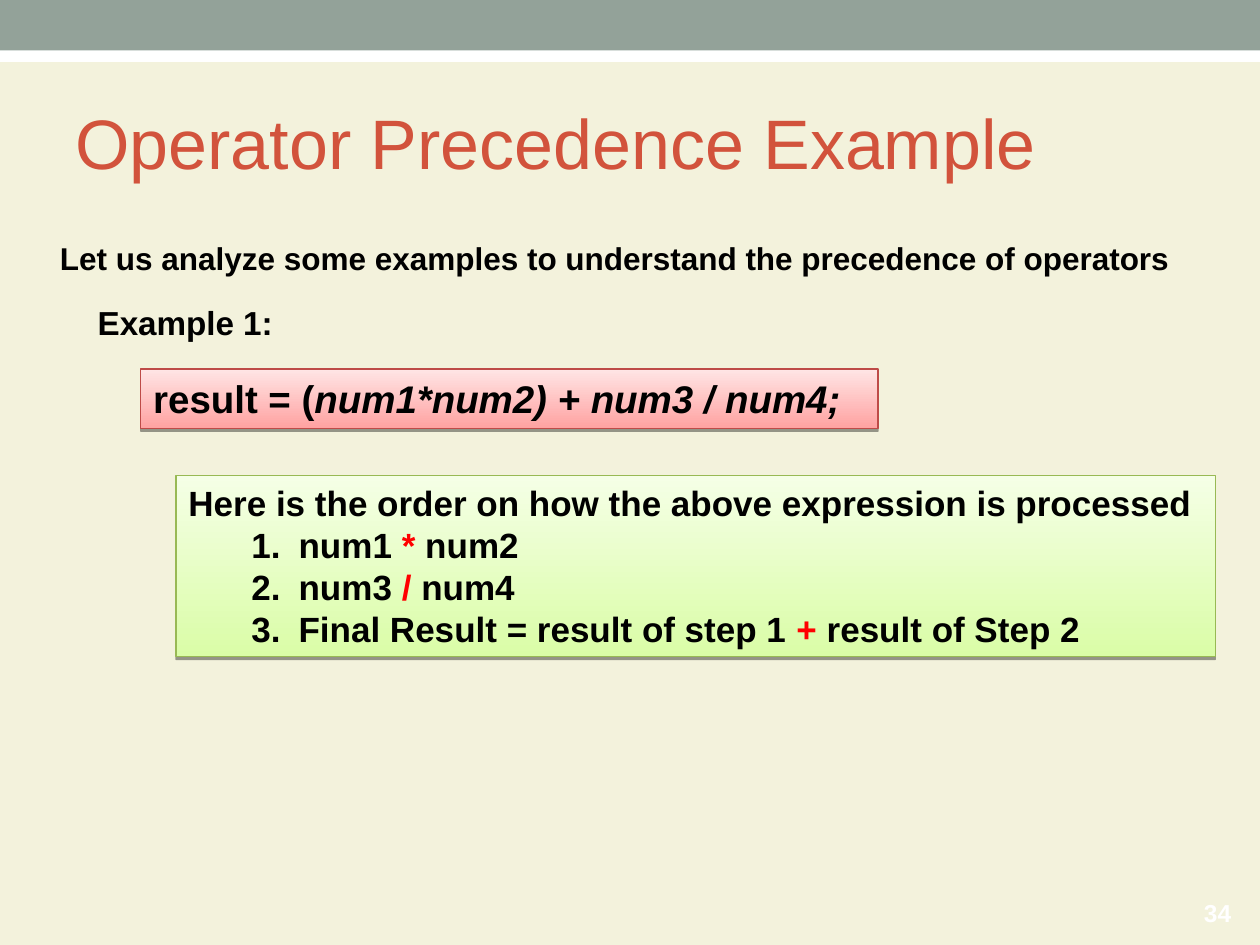
from dataclasses import dataclass

from lxml import etree
from pptx import Presentation
from pptx.dml.color import RGBColor
from pptx.enum.shapes import MSO_SHAPE
from pptx.enum.text import MSO_ANCHOR, PP_ALIGN
from pptx.oxml.ns import qn
from pptx.util import Cm, Pt

RECTANGLE = MSO_SHAPE.RECTANGLE
TOP, MIDDLE = MSO_ANCHOR.TOP, MSO_ANCHOR.MIDDLE
LEFT, RIGHT = PP_ALIGN.LEFT, PP_ALIGN.RIGHT


@dataclass(frozen=True)
class Theme:
    font: str = "Arial"
    background: str = "F3F2DC"
    band: str = "93A299"
    white: str = "FFFFFF"
    title: str = "D2533C"
    text: str = "000000"
    operator: str = "FF0000"
    red_panel: tuple = ("FFA2A1", "FFE5E5", "BE4B48")
    green_panel: tuple = ("DAFDA7", "F5FFE6", "98B954")
    title_size: int = 40
    code_size: float = 22
    steps_size: int = 20
    example_size: int = 19
    intro_size: int = 18
    number_size: int = 14


THEME = Theme()


def color(value):
    return RGBColor.from_string(value)


def add_run(paragraph, text, size, fill=THEME.text, bold=True, italic=False):
    run = paragraph.add_run()
    run.text = text
    font = run.font
    font.name, font.size = THEME.font, Pt(size)
    font.bold, font.italic = bold, italic
    font.color.rgb = color(fill)


def add_text(slide, box, text, size, fill=THEME.text, bold=True,
             anchor=TOP, align=LEFT, wrap=False):
    frame = slide.shapes.add_textbox(*map(Cm, box)).text_frame
    frame.word_wrap = wrap
    frame.vertical_anchor = anchor
    paragraph = frame.paragraphs[0]
    paragraph.alignment = align
    add_run(paragraph, text, size, fill, bold)


def add_rectangle(slide, box):
    shape = slide.shapes.add_shape(RECTANGLE, *map(Cm, box))
    shape.shadow.inherit = False
    return shape


def add_panel(slide, box, colors):
    shape = add_rectangle(slide, box)
    bottom, top, outline = colors
    shape.fill.gradient()
    shape.fill.gradient_angle = 90
    for stop, value in zip(shape.fill.gradient_stops, (bottom, top)):
        stop.color.rgb = color(value)
    shape.line.color.rgb = color(outline)
    shape.line.width = Pt(0.75)
    effects = shape._element.spPr.find(qn("a:effectLst"))
    shadow = etree.SubElement(effects, qn("a:outerShdw"), blurRad="0",
                              dist=str(Pt(1.6)), dir="5400000", rotWithShape="0")
    shade = etree.SubElement(shadow, qn("a:srgbClr"), val=THEME.text)
    etree.SubElement(shade, qn("a:alpha"), val="38000")
    frame = shape.text_frame
    frame.word_wrap = True
    frame.vertical_anchor = TOP
    frame.paragraphs[0].alignment = LEFT
    return frame


def number_paragraph(paragraph):
    paragraph.alignment = LEFT
    paragraph.level = 1
    properties = paragraph._p.get_or_add_pPr()
    properties.set("marL", str(Cm(2.22)))
    properties.set("indent", str(Cm(-0.95)))
    bullet_color = etree.SubElement(properties, qn("a:buClr"))
    etree.SubElement(bullet_color, qn("a:srgbClr"), val=THEME.text)
    etree.SubElement(properties, qn("a:buFont"), typeface=THEME.font)
    etree.SubElement(properties, qn("a:buAutoNum"), type="arabicPeriod")


def add_header(slide, box):
    left, top, width, height = box
    bands = ((0.6, 0.65, THEME.white), (0, 1.02, THEME.band))
    for offset, band_height, fill in bands:
        shape = add_rectangle(slide, (left, top + offset, width, band_height))
        shape.fill.solid()
        shape.fill.fore_color.rgb = color(fill)
        shape.line.fill.background()
    add_text(slide, (left + 1.27, top + 1.47, width - 2.54, height - 1.47),
             "Operator Precedence Example", THEME.title_size, THEME.title,
             bold=False, anchor=MIDDLE, wrap=True)


def add_introduction(slide, box):
    left, top, width, height = box
    add_text(slide, (left, top, width, 1.02),
             "Let us analyze some examples to understand the precedence of operators",
             THEME.intro_size)
    add_text(slide, (left + 0.76, top + height - 1.07, 4.22, 1.07),
             "Example 1:", THEME.example_size)


def add_expression(slide, box):
    paragraph = add_panel(slide, box, THEME.red_panel).paragraphs[0]
    add_run(paragraph, "result = (", THEME.code_size)
    add_run(paragraph, "num1*num2) + num3 / num4;", THEME.code_size, italic=True)


def add_steps(slide, box):
    frame = add_panel(slide, box, THEME.green_panel)
    add_run(frame.paragraphs[0],
            "Here is the order on how the above expression is processed",
            THEME.steps_size)
    steps = (
        ("num1 ", "*", " num2"),
        ("num3 ", "/", " num4"),
        ("Final Result = result of step 1 ", "+", " result of Step 2"),
    )
    for before, operator, after in steps:
        paragraph = frame.add_paragraph()
        number_paragraph(paragraph)
        add_run(paragraph, before, THEME.steps_size)
        add_run(paragraph, operator, THEME.steps_size, THEME.operator)
        add_run(paragraph, after, THEME.steps_size)


def add_slide_number(slide, box):
    add_text(slide, box, "34", THEME.number_size, THEME.white,
             anchor=MIDDLE, align=RIGHT, wrap=True)


def main():
    presentation = Presentation()
    presentation.slide_width, presentation.slide_height = Cm(25.4), Cm(19.05)
    slide = presentation.slides.add_slide(presentation.slide_layouts[6])
    slide.background.fill.solid()
    slide.background.fill.fore_color.rgb = color(THEME.background)
    add_header(slide, (0, 0, 25.4, 4.22))
    add_expression(slide, (2.84, 7.44, 14.86, 1.2))
    add_introduction(slide, (0.96, 4.7, 22.89, 2.34))
    add_steps(slide, (3.55, 9.58, 20.95, 3.66))
    add_slide_number(slide, (22.5, 17.9, 2.57, 1))
    presentation.save("out.pptx")


if __name__ == "__main__":
    main()
